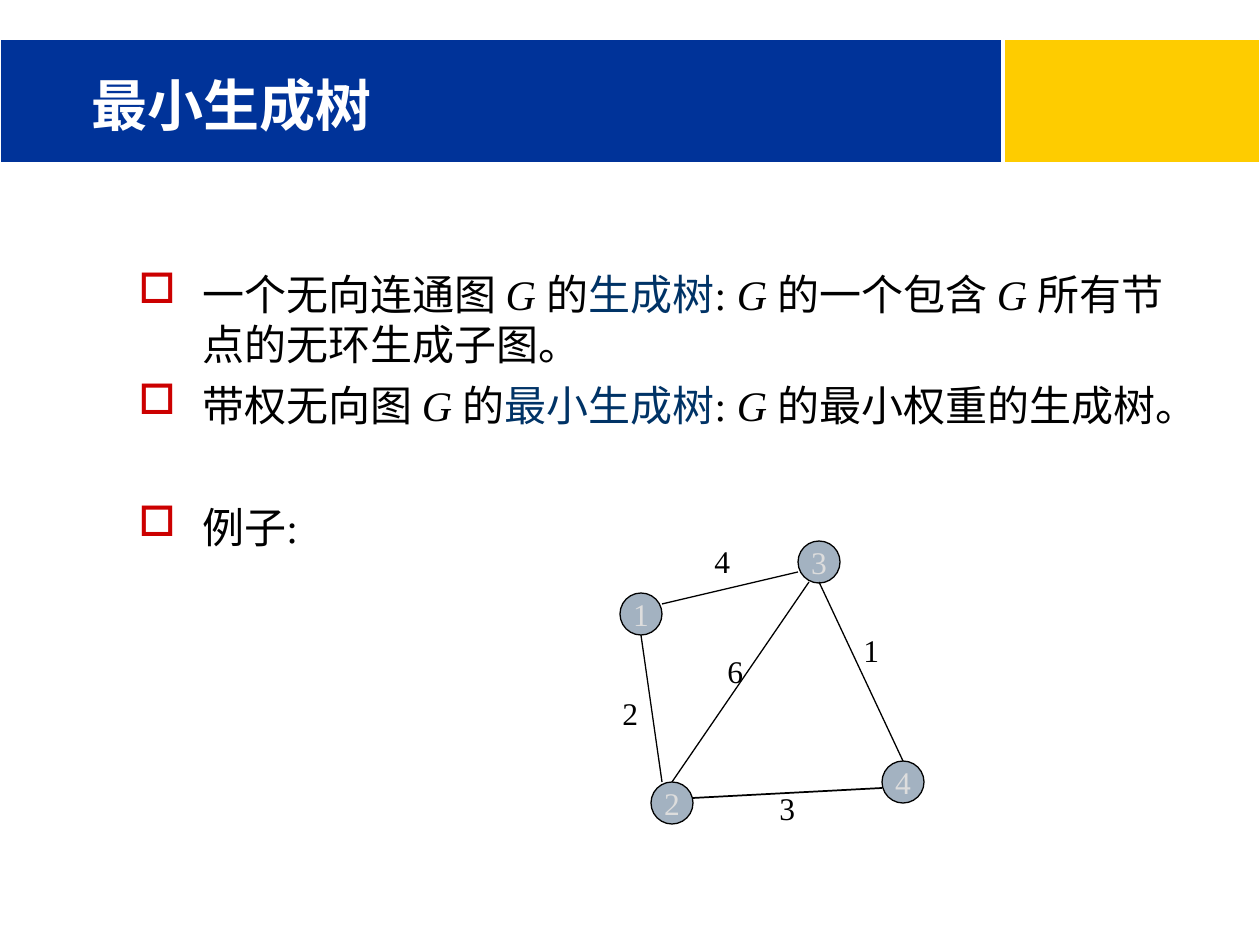
from dataclasses import dataclass

from lxml import etree
from pptx import Presentation
from pptx.dml.color import RGBColor
from pptx.enum.shapes import MSO_CONNECTOR, MSO_SHAPE
from pptx.enum.text import MSO_ANCHOR, PP_ALIGN
from pptx.oxml.ns import qn
from pptx.util import Pt

RECT, OVAL = MSO_SHAPE.RECTANGLE, MSO_SHAPE.OVAL
LINE = MSO_CONNECTOR.STRAIGHT
LEFT, CENTER = PP_ALIGN.LEFT, PP_ALIGN.CENTER
MIDDLE, BOTTOM = MSO_ANCHOR.MIDDLE, MSO_ANCHOR.BOTTOM
SCALE = 914400 / 126


@dataclass(frozen=True)
class Theme:
    """Colours, font and type sizes of the slide."""
    face: str = "Times New Roman"
    blue: str = "003399"
    gold: str = "FECC00"
    white: str = "FFFFFF"
    ink: str = "000000"
    term: str = "003366"
    mark: str = "CC0000"
    node: str = "A3B2C1"
    digit: str = "DDDDDD"
    head: int = 32
    body: int = 24
    small: int = 18


THEME = Theme()
HANG = 64
RADIUS = 21
BANDS = [((1004, 39, 256, 124), THEME.gold), ((0, 39, 1002, 124), THEME.blue)]
POINTS = [
    (0, [("一个无向连通图 ", ""), ("G ", "i"), ("的", ""), ("生成树", "t"),
         (": ", ""), ("G ", "i"), ("的一个包含 ", ""), ("G ", "i"),
         ("所有节点的无环生成子图。", "")]),
    (6, [("带权无向图 ", ""), ("G ", "i"), ("的", ""), ("最小生成树", "t"),
         (": ", ""), ("G ", "i"), ("的最小权重的生成树。", "")]),
    (41, [("例子:", "")]),
]
EDGES = [
    ((662, 604, 798, 572), 0.75),
    ((662, 782, 641, 635), 0.75),
    ((672, 782, 809, 582), 0.75),
    ((903, 761, 819, 582), 0.75),
    ((693, 798, 882, 788), 1),
]
NODES = [("3", 819, 562), ("4", 903, 782), ("2", 672, 803), ("1", 641, 614)]
COSTS = [("4", 702, 536), ("2", 610, 688), ("6", 715, 646),
         ("1", 851, 625), ("3", 767, 783)]


def px(*nums):
    """Turn pixel lengths into EMU."""
    return [round(n * SCALE) for n in nums]


def rgb(code):
    """Read a hex colour."""
    return RGBColor.from_string(code)


def style(para, size, color, bold=False):
    """Set the font of a whole paragraph."""
    font = para.font
    font.name, font.size, font.bold = THEME.face, Pt(size), bold
    font.color.rgb = rgb(color)


def add_form(slide, kind, box, fill, edge):
    """Add a filled preset shape."""
    form = slide.shapes.add_shape(kind, *px(*box))
    form.shadow.inherit = False
    form.fill.solid()
    form.fill.fore_color.rgb = rgb(fill)
    form.line.color.rgb = rgb(edge)
    form.line.width = Pt(0.75)
    return form


def add_title(slide, text):
    """Place the title in front of the bands."""
    title = slide.shapes.title
    slide.shapes._spTree.append(title._element)
    title.left, title.top, title.width, title.height = px(79, 41, 1103, 103)
    frame = title.text_frame
    frame.text, frame.vertical_anchor = text, BOTTOM
    para = frame.paragraphs[0]
    para.alignment = LEFT
    style(para, THEME.head, THEME.white, True)


def add_bullet(para):
    """Give a paragraph a hanging square bullet."""
    props = para._p.get_or_add_pPr()
    hang, = px(HANG)
    props.set("marL", str(hang))
    props.set("indent", str(-hang))
    tint = etree.SubElement(props, qn("a:buClr"))
    etree.SubElement(tint, qn("a:srgbClr"), val=THEME.mark)
    etree.SubElement(props, qn("a:buChar"), char="□")


def add_points(slide):
    """Add the bulleted definitions."""
    frame = slide.shapes.add_textbox(*px(126, 262, 1071, 567)).text_frame
    frame.word_wrap = True
    for num, (gap, parts) in enumerate(POINTS):
        para = frame.add_paragraph() if num else frame.paragraphs[0]
        add_bullet(para)
        para.space_before = Pt(gap)
        style(para, THEME.body, THEME.ink)
        for text, role in parts:
            run = para.add_run()
            run.text = text
            if role == "i":
                run.font.italic = True
            elif role == "t":
                run.font.color.rgb = rgb(THEME.term)


def add_edge(slide, ends, width):
    """Add one edge of the graph."""
    edge = slide.shapes.add_connector(LINE, *px(*ends))
    edge.line.color.rgb = rgb(THEME.ink)
    edge.line.width = Pt(width)
    etree.SubElement(edge._element.spPr, qn("a:effectLst"))


def add_node(slide, text, x, y):
    """Add a numbered node around its centre."""
    box = (x - RADIUS, y - RADIUS, 2 * RADIUS, 2 * RADIUS)
    frame = add_form(slide, OVAL, box, THEME.node, THEME.ink).text_frame
    frame.text, frame.word_wrap = text, False
    frame.vertical_anchor = MIDDLE
    para = frame.paragraphs[0]
    para.alignment = CENTER
    style(para, THEME.small, THEME.digit)


def add_cost(slide, text, x, y):
    """Add the weight of an edge."""
    frame = slide.shapes.add_textbox(*px(x, y, 41, 50)).text_frame
    frame.text, frame.word_wrap = text, False
    style(frame.paragraphs[0], THEME.small, THEME.ink)


def main():
    """Build and save the slide."""
    deck = Presentation()
    deck.slide_width, deck.slide_height = px(1260, 945)
    slide = deck.slides.add_slide(deck.slide_layouts[5])
    for box, fill in BANDS:
        add_form(slide, RECT, box, fill, THEME.white)
    add_title(slide, "最小生成树")
    add_points(slide)
    for node in NODES:
        add_node(slide, *node)
    for edge in EDGES:
        add_edge(slide, *edge)
    for cost in COSTS:
        add_cost(slide, *cost)
    deck.save("out.pptx")


if __name__ == "__main__":
    main()
